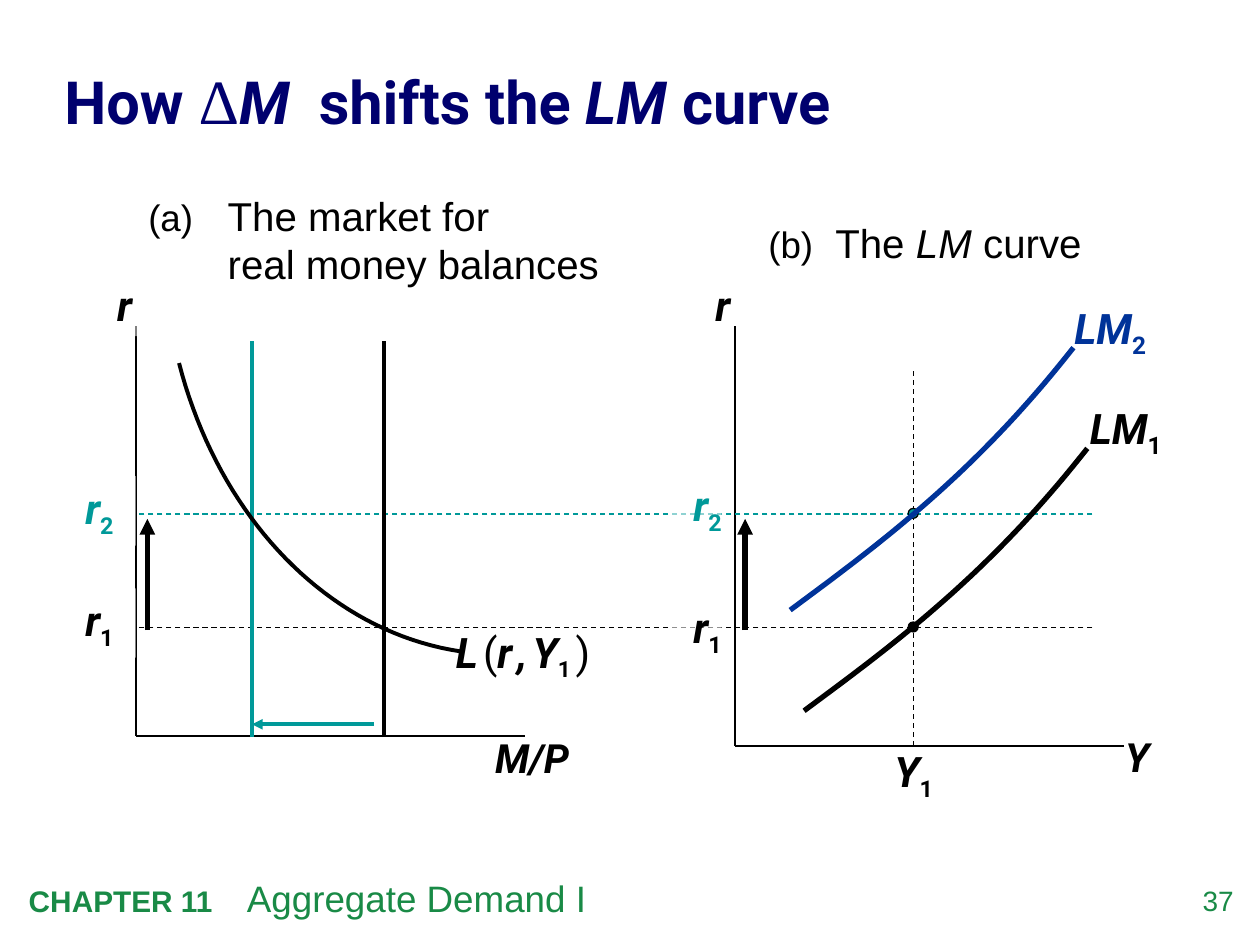
from lxml import etree
from pptx import Presentation
from pptx import util as u
from pptx.dml.color import RGBColor
from pptx.enum import dml, shapes, text
from pptx.oxml.ns import qn

BLACK, TEAL, BLUE = "000000", "009999", "003399"
NAVY, GREEN, WHITE = "00006E", "198A46", "FFFFFF"

# Content: runs are (text, size, style); b bold, i italic, s subscript, t Times
TITLE = [("How ", 34, "b"), ("Δ", 36, "t"), ("M", 34, "bi"),
         ("\tshifts the ", 34, "b"), ("LM", 34, "bi"), (" curve", 34, "b")]
FOOTER = [("CHAPTER 11\t", 17, "b"), ("Aggregate Demand I", 21, "")]
CAPTION_A = [("(a)", 21, ""), ("\tThe market for \vreal money balances", 23, "")]
CAPTION_B = [("(b)", 21, ""), ("\tThe ", 23, ""), ("LM", 23, "i"), (" curve", 23, "")]
DEMAND = [("L", 24, "bi"), (" ", 12, "bi"), ("(", 24, ""), ("r", 24, "bi"),
          (" ", 12, "bi"), (",", 24, "bi"), (" ", 12, "bi"), ("Y", 24, "bi"),
          ("1", 22, "bs"), (" ", 12, "bi"), (")", 24, "")]

# Diagram geometry, in centimetres
AXES = [(2.74, 14.83, 10.59), (14.81, 15.04, 22.66)]  # x, base, right end
AXIS_TOP = 6.58
RATES = [("1", 12.65, BLACK), ("2", 10.36, TEAL)]
SUPPLIES = [(7.75, BLACK), (5.08, TEAL)]
INCOME_X = 18.42
DEMAND_CURVE = [(9.27, 13.13), (6.63, 12.73), (4.42, 10.46), (3.61, 7.32)]
LM_CURVE = [(16.21, 14.33), (18.08, 12.95), (19.94, 11.56), (21.92, 9.04)]
LM_SHIFT = (-0.28, -2.03)

# Labels: runs, left, top, width, height, colour, white cover opacity (%)
LABELS = [
    ([("M/P", 23, "bi")], 9.73, 14.66, 2.54, 1.22, BLACK, 0),
    ([("r", 24, "bi")], 2.11, 5.51, 1.27, 1.27, BLACK, 50),
    ([("r", 24, "bi")], 14.17, 5.51, 1.27, 1.27, BLACK, 0),
    ([("Y", 23, "bi")], 22.43, 14.63, 1.27, 1.22, BLACK, 0),
    (DEMAND, 8.94, 12.5, 4.19, 1.27, BLACK, 0),
    ([("LM", 24, "bi"), ("1", 24, "bs")], 21.72, 7.98, 2.54, 1.27, BLACK, 0),
    ([("LM", 24, "bi"), ("2", 24, "bs")], 21.41, 5.97, 2.11, 1.27, BLUE, 0),
    ([("Y", 24, "bi"), ("1", 23, "bs")], 17.78, 14.91, 1.47, 1.4, BLACK, 0),
]
RATE_LABEL_TOPS = [(11.86, 11.99), (9.6, 9.53)]  # left panel, right panel

deck = Presentation()
deck.slide_width, deck.slide_height = u.Cm(25.4), u.Cm(19.05)
page = deck.slides.add_slide(deck.slide_layouts[6])


def colour(value):
    return RGBColor.from_string(value)


def add_text(runs, left, top, width, height, tint, font="Roboto", insets=None,
             align=text.PP_ALIGN.LEFT, tab=0, hanging=False, cover=0):
    place = [u.Cm(n) for n in (left, top, width, height)]
    if cover:
        box = page.shapes.add_shape(shapes.MSO_SHAPE.RECTANGLE, *place)
        box.shadow.inherit = False
        box.line.fill.background()
        box.fill.solid()
        box.fill.fore_color.rgb = colour(WHITE)
        value = box.fill._xPr.find(".//" + qn("a:srgbClr"))
        etree.SubElement(value, qn("a:alpha"), val=str(cover * 1000))
    else:
        box = page.shapes.add_textbox(*place)
    frame = box.text_frame
    frame.word_wrap = True
    frame.vertical_anchor = text.MSO_ANCHOR.TOP
    if insets:
        (frame.margin_left, frame.margin_top,
         frame.margin_right, frame.margin_bottom) = [u.Cm(n) for n in insets]
    para = frame.paragraphs[0]
    para.alignment = align
    if tab:
        props = para._p.get_or_add_pPr()
        if hanging:
            props.set("marL", str(u.Cm(tab)))
            props.set("indent", str(-u.Cm(tab)))
        stops = etree.SubElement(props, qn("a:tabLst"))
        etree.SubElement(stops, qn("a:tab"), pos=str(u.Cm(tab)), algn="l")
    for words, size, style in runs:
        for index, part in enumerate(words.split("\v")):
            if index:
                para.add_line_break()
            span = para.add_run()
            span.text = part
            span.font.size = u.Pt(size)
            span.font.name = "Times New Roman" if "t" in style else font
            span.font.bold = "b" in style
            span.font.italic = "i" in style
            span.font.color.rgb = colour(tint)
            if "s" in style:
                span._r.get_or_add_rPr().set("baseline", "-25000")
    return frame


def add_line(start, end, tint=BLACK, weight=1.0, dashed=False, arrow=False):
    line = page.shapes.add_connector(
        shapes.MSO_CONNECTOR.STRAIGHT, *[u.Cm(n) for n in (*start, *end)])
    line.line.color.rgb = colour(tint)
    line.line.width = u.Pt(weight)
    if dashed:
        line.line.dash_style = dml.MSO_LINE.DASH
    if arrow:
        etree.SubElement(line.line._get_or_add_ln(), qn("a:tailEnd"), type="triangle")
    etree.SubElement(line._element.spPr, qn("a:effectLst"))


def add_curve(controls, tint, weight, steps=40):
    """Draw a cubic Bezier curve as a fine open outline."""
    points = []
    for step in range(steps + 1):
        t = step / steps
        weights = ((1 - t) ** 3, 3 * t * (1 - t) ** 2, 3 * t * t * (1 - t), t ** 3)
        points.append(tuple(u.Cm(sum(w * point[axis] for w, point in zip(weights, controls)))
                            for axis in (0, 1)))
    builder = page.shapes.build_freeform(*points[0])
    builder.add_line_segments(points[1:], close=False)
    curve = builder.convert_to_shape()
    curve.shadow.inherit = False
    curve.fill.background()
    curve.line.color.rgb = colour(tint)
    curve.line.width = u.Pt(weight)


# Title, captions and footer
title = add_text(TITLE, 1.3, 0.66, 22.91, 2.62, NAVY, insets=(0, 0, 0, 0), tab=5.13)
title.vertical_anchor = text.MSO_ANCHOR.MIDDLE
title.paragraphs[0].line_spacing = 1.05
add_text(CAPTION_A, 2.74, 3.73, 9.96, 2.21, BLACK, "Arial", tab=1.6, hanging=True)
add_text(CAPTION_B, 15.24, 4.27, 7.62, 1.22, BLACK, "Arial", tab=1.35)
add_text(FOOTER, 0.33, 17.53, 20.78, 1.14, GREEN, "Arial", tab=4.4)
add_text([("37", 16, "")], 23.47, 17.81, 1.4, 0.81, GREEN, "Arial",
         insets=(0, 0, 0, 0), align=text.PP_ALIGN.RIGHT)

# Axes and guide lines
for x, base, right in AXES:
    add_line((x, AXIS_TOP), (x, base))
    add_line((x, base), (right, base))
for _, y, tint in RATES:
    add_line((22.02, y), (2.74, y), tint, 0.75, dashed=True)
add_line((INCOME_X, 15.04), (INCOME_X, 7.42), weight=0.75, dashed=True)

# Equilibrium points
for _, y, tint in RATES:
    dot = page.shapes.add_shape(shapes.MSO_SHAPE.OVAL, u.Cm(INCOME_X - 0.11),
                                u.Cm(y - 0.11), u.Cm(0.2), u.Cm(0.2))
    dot.shadow.inherit = False
    dot.fill.solid()
    dot.fill.fore_color.rgb = colour(tint)
    dot.line.color.rgb = colour(BLACK)
    dot.line.width = u.Pt(0.75)

# Labels
for runs, left, top, width, height, tint, cover in LABELS:
    add_text(runs, left, top, width, height, tint, cover=cover)
for (number, _, tint), (top_a, top_b) in zip(RATES, RATE_LABEL_TOPS):
    runs = [("r", 24, "bi"), (number, 23, "bs")]
    insets = (0.25, 0.13, 0, 0.25)
    add_text(runs, 1.47, top_a, 1.27, 1.4, tint, insets=insets, cover=50)
    add_text(runs, 13.51, top_b, 1.04, 1.4, tint, insets=insets,
             align=text.PP_ALIGN.RIGHT, cover=56)

# Supply lines, curves and shift arrows
for x, tint in SUPPLIES:
    add_line((x, 14.86), (x, 6.88), tint, 2.25)
add_curve(DEMAND_CURVE, BLACK, 2.25)
add_curve(LM_CURVE, BLACK, 3)
add_curve([(x + LM_SHIFT[0], y + LM_SHIFT[1]) for x, y in LM_CURVE], BLUE, 3)
for x in (2.97, 15.02):
    add_line((x, 12.7), (x, 10.46), weight=3, arrow=True)
add_line((7.54, 14.6), (5.08, 14.6), TEAL, 2, arrow=True)

deck.save("out.pptx")
